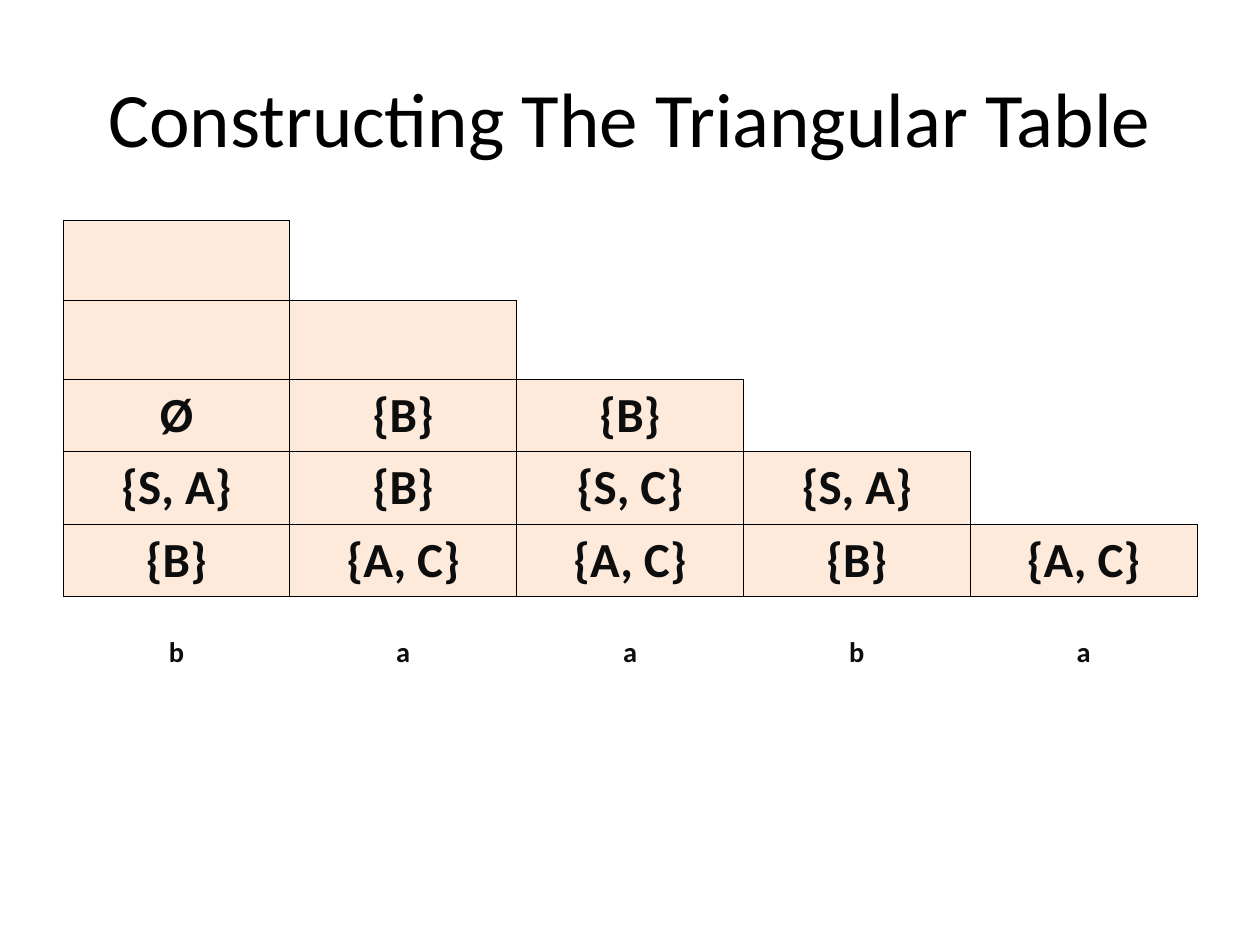
import lxml.etree
import pptx
import pptx.dml.color
import pptx.enum.text
import pptx.oxml.ns
import pptx.util

Inches = pptx.util.Inches
RGBColor = pptx.dml.color.RGBColor
BLACK = RGBColor(0x00, 0x00, 0x00)
INK = RGBColor(0x0D, 0x0D, 0x0D)
PEACH = RGBColor(0xFD, 0xEA, 0xDA)

ROWS = [
    ["", "", "", "", ""],
    ["", "", "", "", ""],
    ["Ø", "{B}", "{B}", "", ""],
    ["{S, A}", "{B}", "{S, C}", "{S, A}", ""],
    ["{B}", "{A, C}", "{A, C}", "{B}", "{A, C}"],
    ["b", "a", "a", "b", "a"],
]
HEIGHTS = [0.63, 0.63, 0.57, 0.57, 0.57, 0.63]
STEPS = 5
SIDES = {"lnL": (0, -1), "lnR": (0, 1), "lnT": (-1, 0), "lnB": (1, 0)}


def write(frame, text, size=28, color=INK, bold=False, base=0):
    par = frame.paragraphs[0]
    par.alignment = pptx.enum.text.PP_ALIGN.CENTER
    run = par.add_run()
    run.text = text
    run.font.name = "Calibri"
    run.font.size = pptx.util.Pt(size)
    run.font.bold = bold
    run.font.color.rgb = color
    if base:
        run.font._element.set("baseline", str(base * 1000))


def filled(row, col):
    return 0 <= col <= row < STEPS


deck = pptx.Presentation()
deck.slide_width = Inches(10)
deck.slide_height = Inches(7.5)
slide = deck.slides.add_slide(deck.slide_layouts[5])

title = slide.shapes.title
title.left, title.top = Inches(0.5), Inches(0.3)
title.width, title.height = Inches(9), Inches(1.25)
title.text_frame.vertical_anchor = pptx.enum.text.MSO_ANCHOR.MIDDLE
write(title.text_frame, "Constructing The Triangular Table", size=44, color=BLACK)

table = slide.shapes.add_table(
    len(ROWS), STEPS, Inches(0.5), Inches(1.75), Inches(9), Inches(sum(HEIGHTS))
).table
table.first_row = False
table.horz_banding = False

for row, texts in enumerate(ROWS):
    table.rows[row].height = Inches(HEIGHTS[row])
    for col, text in enumerate(texts):
        cell = table.cell(row, col)
        cell.vertical_anchor = pptx.enum.text.MSO_ANCHOR.MIDDLE
        if text:
            base = -25 if row == STEPS else 0
            write(cell.text_frame, text, bold=True, base=base)
        props = cell._tc.get_or_add_tcPr()
        for side, (down, right) in SIDES.items():
            line = lxml.etree.SubElement(props, pptx.oxml.ns.qn("a:" + side))
            line.set("w", str(pptx.util.Pt(0.45)))
            if filled(row, col) or filled(row + down, col + right):
                paint = lxml.etree.SubElement(line, pptx.oxml.ns.qn("a:solidFill"))
                shade = lxml.etree.SubElement(paint, pptx.oxml.ns.qn("a:srgbClr"))
                shade.set("val", str(BLACK))
            else:
                lxml.etree.SubElement(line, pptx.oxml.ns.qn("a:noFill"))
        if filled(row, col):
            cell.fill.solid()
            cell.fill.fore_color.rgb = PEACH
        else:
            cell.fill.background()

deck.save("out.pptx")
